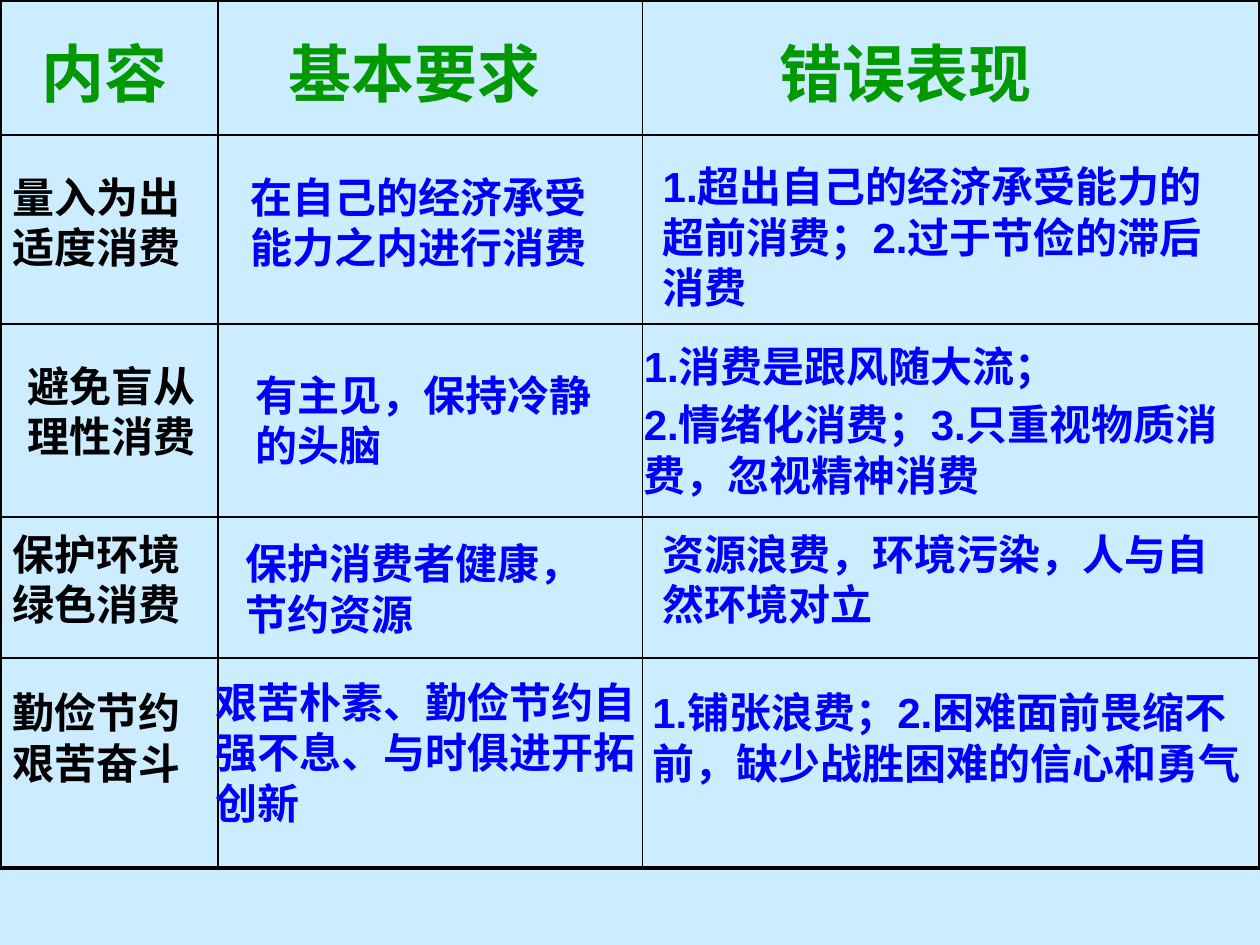
from typing import NamedTuple

from lxml import etree
from pptx import Presentation
from pptx.dml.color import RGBColor
from pptx.enum.text import MSO_AUTO_SIZE
from pptx.oxml.ns import qn
from pptx.util import Cm, Pt

FIT_SHAPE = MSO_AUTO_SIZE.SHAPE_TO_FIT_TEXT
BACKGROUND = RGBColor(0xCC, 0xEC, 0xFF)
GREEN = RGBColor(0x00, 0x99, 0x00)
BLUE = RGBColor(0x00, 0x00, 0xFF)
BLACK = RGBColor(0x00, 0x00, 0x00)
LATIN_FONT = "Arial"
CHINESE_FONT = "Noto Sans CJK SC"
OUTER_LINE, INNER_LINE = Pt(2.25), Pt(1)

COLUMN_WIDTHS = (4.39, 8.56, 12.45)
ROW_HEIGHTS = (2.72, 3.81, 3.89, 2.84, 4.24)


class Label(NamedTuple):
    """Text with its box in centimetres."""
    text: str
    left: float
    top: float
    width: float
    height: float


HEADINGS = (
    Label("内容", 0.58, 0.58, 3.81, 3),
    Label("基本要求", 5.56, 0.58, 6.4, 3),
    Label("错误表现", 15.47, 0.58, 6, 3),
)
TOPICS = (
    Label("量入为出\n适度消费", 0, 3.33, 6.3, 2.31),
    Label("避免盲从\n理性消费", 0.3, 7.14, 9.2, 3.84),
    Label("保护环境\n绿色消费", 0, 10.52, 7.11, 3.33),
    Label("勤俭节约\n艰苦奋斗", 0, 13.72, 9, 3.84),
)
REQUIREMENTS = (
    Label("在自己的经济承受能力之内进行消费", 4.8, 3.33, 7.6, 3.58),
    Label("有主见，保持冷静的头脑", 4.9, 7.32, 7.6, 3.84),
    Label("保护消费者健康，节约资源", 4.7, 10.72, 7.6, 3.84),
    Label("艰苦朴素、勤俭节约自强不息、与时俱进开拓创新", 4.09, 13.51, 9, 3.33),
)
MISTAKES = (
    Label("1.超出自己的经济承受能力的超前消费；2.过于节俭的滞后消费",
          13.11, 3.12, 11.91, 6.4),
    Label("1.消费是跟风随大流；\n2.情绪化消费；3.只重视物质消费，忽视精神消费",
          12.73, 6.73, 12.67, 6.3),
    Label("资源浪费，环境污染，人与自然环境对立", 13.11, 10.52, 11.89, 5.49),
    Label("1.铺张浪费；2.困难面前畏缩不前，缺少战胜困难的信心和勇气",
          12.9, 13.72, 12.5, 4.52),
)


def set_border(cell, side: str, width: int) -> None:
    line = etree.SubElement(cell._tc.get_or_add_tcPr(), qn(f"a:ln{side}"), w=str(width))
    fill = etree.SubElement(line, qn("a:solidFill"))
    etree.SubElement(fill, qn("a:srgbClr"), val=str(BLACK))


def add_grid(slide) -> None:
    row_count, column_count = len(ROW_HEIGHTS), len(COLUMN_WIDTHS)
    table = slide.shapes.add_table(
        row_count, column_count, 0, 0, Cm(sum(COLUMN_WIDTHS)), Cm(sum(ROW_HEIGHTS))
    ).table
    table.first_row = table.horz_banding = False
    for column, width in zip(table.columns, COLUMN_WIDTHS):
        column.width = Cm(width)
    for row, height in zip(table.rows, ROW_HEIGHTS):
        row.height = Cm(height)
    for row_index in range(row_count):
        for column_index in range(column_count):
            cell = table.cell(row_index, column_index)
            outer_sides = {
                "L": column_index == 0,
                "R": column_index == column_count - 1,
                "T": row_index == 0,
                "B": row_index == row_count - 1,
            }
            for side, is_outer in outer_sides.items():
                set_border(cell, side, OUTER_LINE if is_outer else INNER_LINE)
            cell.fill.background()


def add_text(slide, label: Label, *, color: RGBColor, size: float = 24,
             font: str = CHINESE_FONT, space_before: float = 0) -> None:
    box = slide.shapes.add_textbox(
        Cm(label.left), Cm(label.top), Cm(label.width), Cm(label.height))
    frame = box.text_frame
    frame.word_wrap = True
    frame.auto_size = FIT_SHAPE
    for index, line in enumerate(label.text.split("\n")):
        paragraph = frame.add_paragraph() if index else frame.paragraphs[0]
        paragraph.space_before = Pt(space_before if index else 0)
        run = paragraph.add_run()
        run.text = line
        run.font.name = font
        run.font.size = Pt(size)
        run.font.bold = True
        run.font.color.rgb = color
        etree.SubElement(run._r.get_or_add_rPr(), qn("a:ea"), typeface=CHINESE_FONT)


def main() -> None:
    presentation = Presentation()
    presentation.slide_width, presentation.slide_height = Cm(25.4), Cm(19.05)
    slide = presentation.slides.add_slide(presentation.slide_layouts[6])
    slide.background.fill.solid()
    slide.background.fill.fore_color.rgb = BACKGROUND

    # Ruled table
    add_grid(slide)

    # Column headings
    for label in HEADINGS:
        add_text(slide, label, color=GREEN, size=36)

    # Topics, then their requirements and mistakes
    for label in TOPICS:
        add_text(slide, label, color=BLACK)
    for label in REQUIREMENTS + MISTAKES:
        add_text(slide, label, color=BLUE, font=LATIN_FONT, space_before=4.8)

    presentation.save("out.pptx")


if __name__ == "__main__":
    main()
